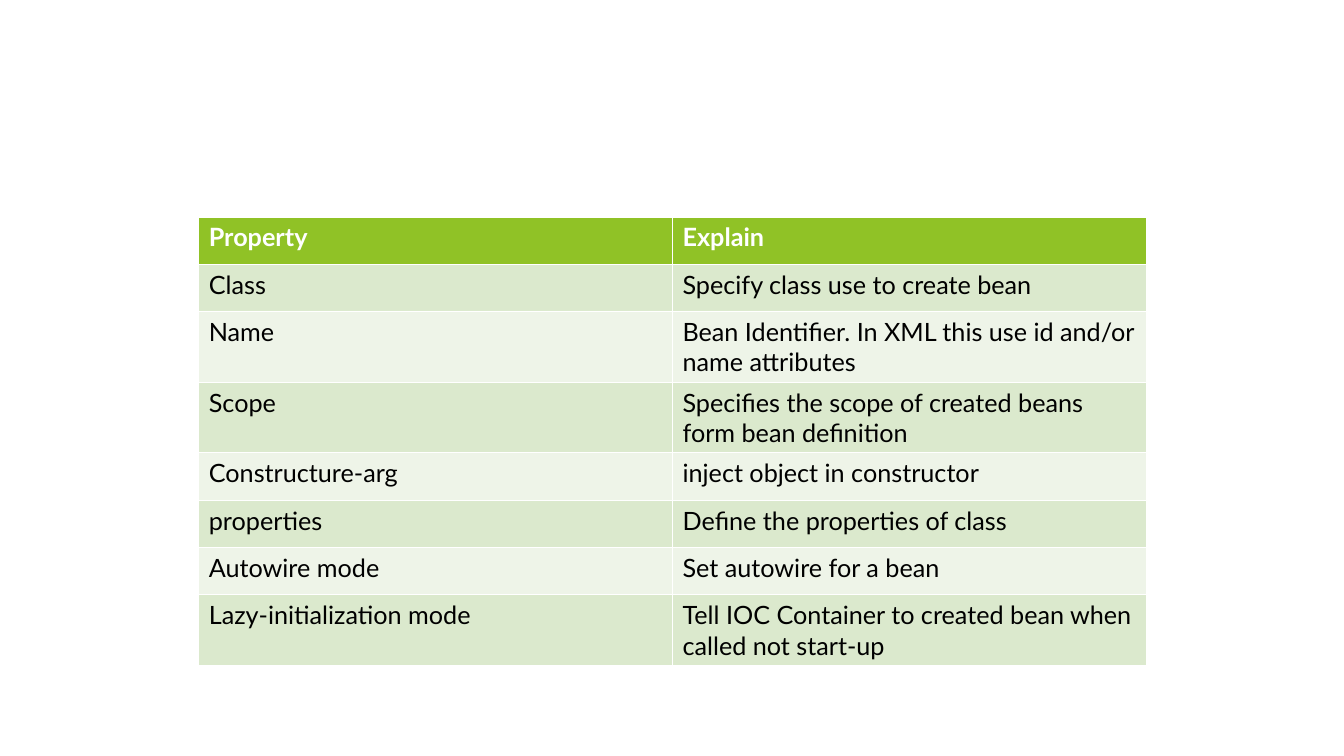
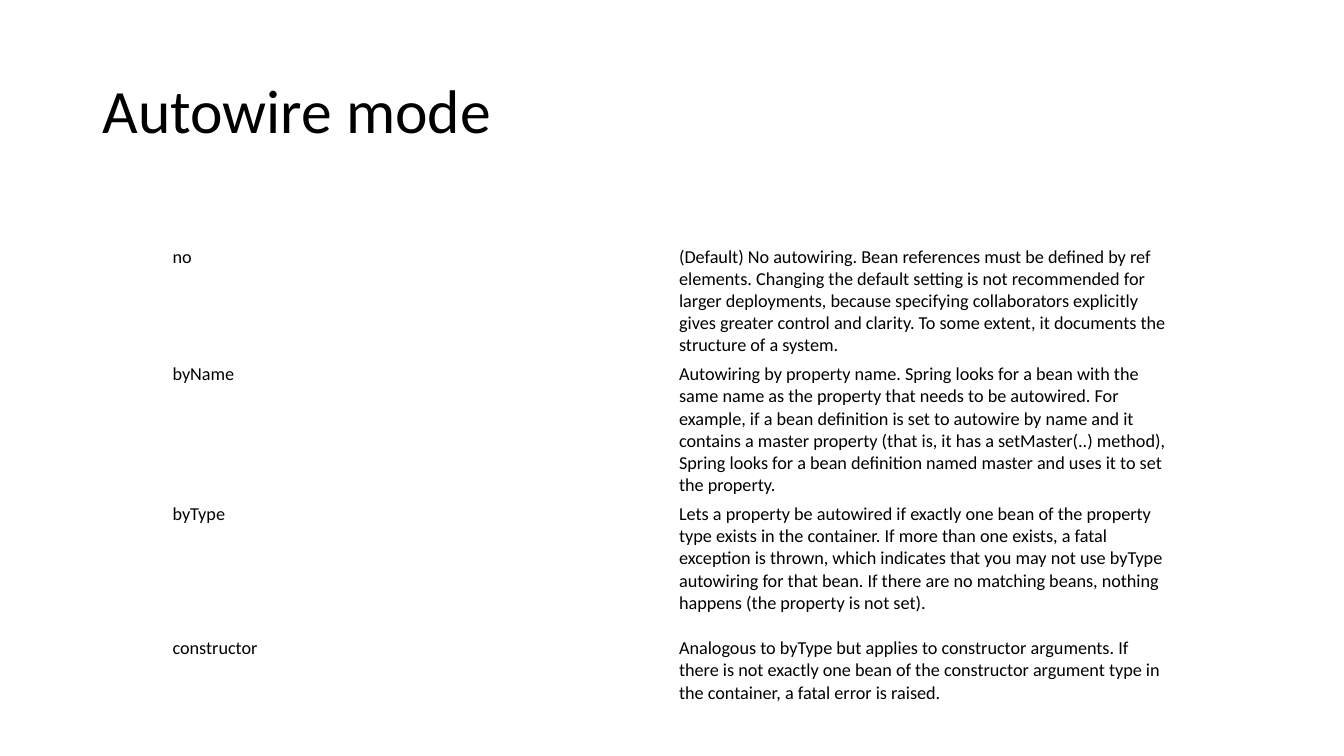
from dataclasses import dataclass

from lxml.etree import SubElement
from pptx import Presentation
from pptx.dml.color import RGBColor as RGB
from pptx.enum.text import MSO_ANCHOR as Anchor, PP_ALIGN as Align
from pptx.oxml import parse_xml
from pptx.oxml.ns import nsdecls, qn
from pptx.util import Pt


@dataclass(frozen=True)
class Theme:
    """Colours, fonts and type sizes shared by the slides."""

    white: str = "FFFFFF"
    black: str = "000000"
    header: str = "90C226"
    bands: tuple = ("DBE9CD", "EEF4E8")
    table_font: str = "Lato"
    text_font: str = "Calibri"
    title_size: float = 44
    table_size: float = 18
    small_size: float = 13
    border: float = 0.94


T = Theme()

PROPERTIES = [
    ("Property", "Explain"),
    ("Class", "Specify class use to create bean"),
    ("Name", "Bean Identifier. In XML this use id and/or name attributes"),
    ("Scope", "Specifies the scope of created beans form bean definition"),
    ("Constructure-arg", "inject object in constructor"),
    ("properties", "Define the properties of class"),
    ("Autowire mode", "Set autowire for a bean"),
    ("Lazy-initialization mode",
     "Tell IOC Container to created bean when called not start-up"),
]

MODES = [
    ("", ""),
    ("no",
     "(Default) No autowiring. Bean references must be defined by ref elements. "
     "Changing the default setting is not recommended for larger deployments, "
     "because specifying collaborators explicitly gives greater control and "
     "clarity. To some extent, it documents the structure of a system."),
    ("byName",
     "Autowiring by property name. Spring looks for a bean with the same name as "
     "the property that needs to be autowired. For example, if a bean definition "
     "is set to autowire by name and it contains a master property (that is, it "
     "has a setMaster(..) method), Spring looks for a bean definition named "
     "master and uses it to set the property."),
    ("byType",
     "Lets a property be autowired if exactly one bean of the property type "
     "exists in the container. If more than one exists, a fatal exception is "
     "thrown, which indicates that you may not use byType autowiring for that "
     "bean. If there are no matching beans, nothing happens (the property is not "
     "set)."),
    ("constructor",
     "Analogous to byType but applies to constructor arguments. If there is not "
     "exactly one bean of the constructor argument type in the container, a "
     "fatal error is raised."),
]


def set_all(obj, values):
    """Set every attribute named in a dict of format values."""
    for name, value in values.items():
        setattr(obj, name, value)


def format_font(font, color, **values):
    """Apply a colour and font attributes."""
    font.color.rgb = RGB.from_string(color)
    set_all(font, values)


def write_cell(cell, text, size, color, **values):
    """Write a cell's text, keeping the type size even when it is empty."""
    p = cell.text_frame.paragraphs[0]
    if text:
        r = p.add_run()
        r.text = text
        format_font(r.font, color, size=Pt(size), **values)
    else:
        SubElement(p._p, qn("a:endParaRPr"), sz=str(size * 100))


def add_borders(cell, color, width):
    """Draw a solid line on all four sides of a cell."""
    tc_pr = cell._tc.get_or_add_tcPr()
    for i, side in enumerate("LRTB"):
        tc_pr.insert(i, parse_xml(
            f'<a:ln{side} {nsdecls("a")} w="{Pt(width)}"><a:solidFill>'
            f'<a:srgbClr val="{color}"/></a:solidFill></a:ln{side}>'))


def add_grid(s, box, rows, heights):
    """Add a table of equal columns, without style bands, in the given box."""
    left, top, width = box
    cols = len(rows[0])
    table = s.shapes.add_table(len(rows), cols, Pt(left), Pt(top),
                               Pt(width), Pt(sum(heights))).table
    set_all(table, {"first_row": False, "horz_banding": False})
    for row, height in zip(table.rows, heights):
        row.height = Pt(height)
    return table


def add_property_table(s, box):
    """Place the banded property table."""
    table = add_grid(s, box, PROPERTIES, [33.84] * len(PROPERTIES))
    for i, (row, texts) in enumerate(zip(table.rows, PROPERTIES)):
        head = i == 0
        fill = T.header if head else T.bands[(i - 1) % 2]
        for cell, text in zip(row.cells, texts):
            cell.fill.solid()
            cell.fill.fore_color.rgb = RGB.from_string(fill)
            add_borders(cell, T.white, T.border)
            write_cell(cell, text, T.table_size, T.white if head else T.black,
                       name=T.table_font, bold=head)


def add_mode_table(s, box):
    """Place the plain table of autowire modes."""
    margins = {"margin_left": Pt(5.3), "margin_right": Pt(5.3),
               "margin_top": Pt(2.4), "margin_bottom": Pt(2.4)}
    table = add_grid(s, box, MODES, [20.2, 80.6, 95.8, 95.8, 50.4])
    for row, texts in zip(table.rows, MODES):
        for cell, text in zip(row.cells, texts):
            cell.fill.background()
            set_all(cell, margins)
            write_cell(cell, text, T.small_size, T.black, name=T.text_font)


def add_title(s, box, text):
    """Fill, place and format the title placeholder."""
    sp = s.shapes.title
    set_all(sp, dict(zip(("left", "top", "width", "height"), map(Pt, box))))
    tf = sp.text_frame
    tf.text = text
    set_all(tf, {"vertical_anchor": Anchor.MIDDLE, "word_wrap": True})
    p = tf.paragraphs[0]
    set_all(p, {"alignment": Align.LEFT, "line_spacing": 0.9})
    format_font(p.runs[0].font, T.black, name=T.text_font, size=Pt(T.title_size))


def main():
    """Build and save the two slides."""
    prs = Presentation()
    set_all(prs, {"slide_width": Pt(960), "slide_height": Pt(540)})
    title_only, blank = prs.slide_layouts[5], prs.slide_layouts[6]

    add_property_table(prs.slides.add_slide(blank), (142, 155, 676.8))

    s = prs.slides.add_slide(title_only)
    add_title(s, (66, 28.8, 828, 104.4), "Autowire mode")
    add_mode_table(s, (118, 152.6, 723.6))

    prs.save("out.pptx")


if __name__ == "__main__":
    main()
